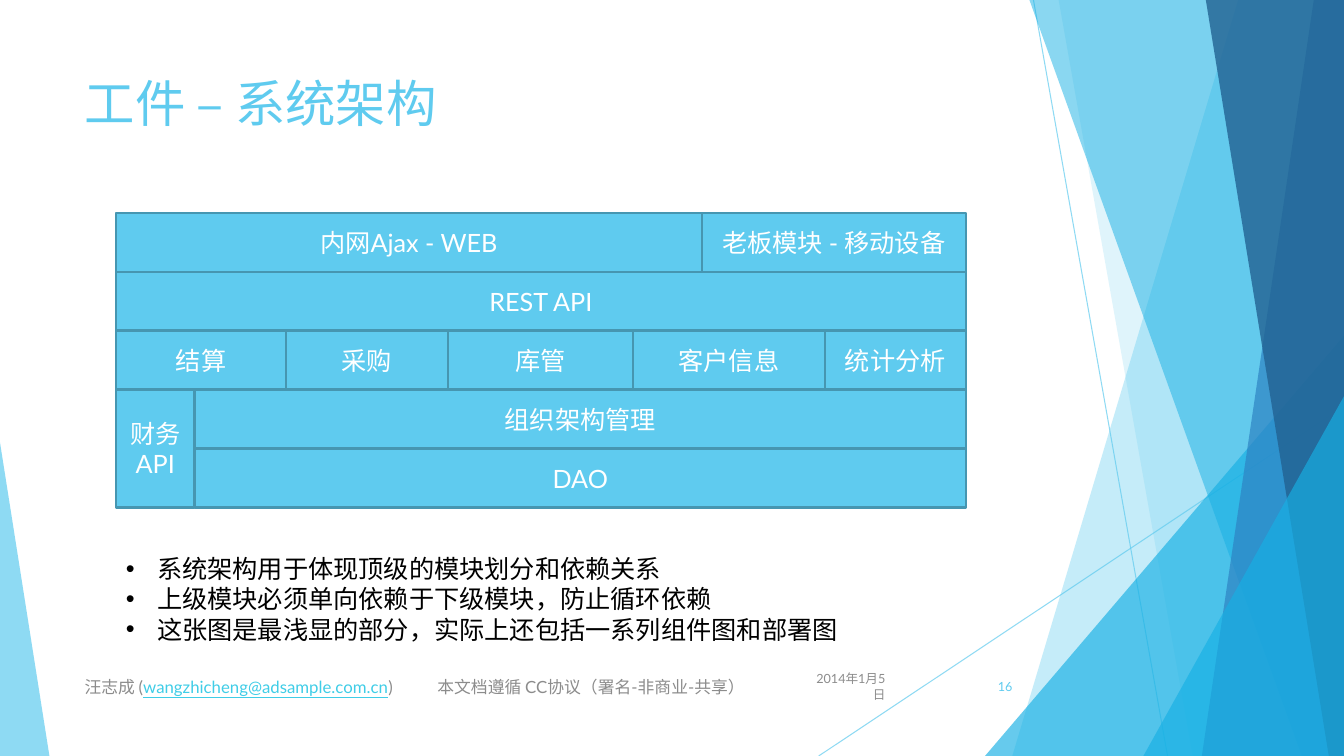
from lxml import etree
from pptx import Presentation
from pptx.dml.color import RGBColor
from pptx.enum.shapes import MSO_CONNECTOR as CONN, MSO_SHAPE as SHAPE
from pptx.enum.text import MSO_ANCHOR as ANCHOR, PP_ALIGN as ALIGN
from pptx.oxml.ns import qn
from pptx.util import Inches, Pt

W, H = 13.33, 7.5
LEFT, RIGHT = 1.15, 9.58
TOP, ROW = 2.11, 0.585
FOOT_TOP, FOOT_H = 6.61, 0.4
COLORS = {
    "sky": "5FCBEF", "cyan": "17B0E4", "blue": "2E83C3", "navy": "226292",
    "edge": "4696B1", "white": "FFFFFF", "black": "000000",
    "grey": "8C8C8C", "mail": "3FCDE7",
}


def paint(fill, color, alpha=100):
    fill.solid()
    fill.fore_color.rgb = RGBColor.from_string(COLORS[color])
    if alpha < 100:
        clr = fill._xPr.find(qn("a:solidFill"))[0]
        etree.SubElement(clr, qn("a:alpha")).set("val", str(alpha * 1000))


def write(p, text, size, color, **formats):
    r = p.add_run()
    r.text = text
    for name, value in {"name": "Lato", "size": Pt(size), **formats}.items():
        setattr(r.font, name, value)
    r.font.color.rgb = RGBColor.from_string(COLORS[color])


prs = Presentation()
prs.slide_width, prs.slide_height = Inches(W), Inches(H)
s = prs.slides.add_slide(prs.slide_layouts[5])

for x1, y1, x2, y2 in [(10.25, 0, 11.58, H), (W, 4.03, 8.12, H)]:
    line = s.shapes.add_connector(CONN.STRAIGHT, *map(Inches, (x1, y1, x2, y2)))
    line.line.width = Pt(0.75)
    paint(line.line.fill, "sky", 70)
    etree.SubElement(line._element.spPr, qn("a:effectLst"))

facets = [
    ("ribbon", 12.28, 10.04, "sky", 36),
    ("ribbon", 10.5, 11.83, "sky", 20),
    ("triangle", 9.77, 3.33, 3.56, 1, "cyan", 66),
    ("ribbon", 10.21, 12.91, "cyan", 50),
    ("ribbon", 13.03, 11.92, "blue", 70),
    ("ribbon", 11.96, 13.18, "navy", 80),
    ("triangle", 11.34, 3.93, 1.99, 1, "cyan", 66),
    ("triangle", 0, 4.39, 0.49, 0, "sky", 70),
]
for kind, *place, color, alpha in facets:
    if kind == "ribbon":
        x_top, x_bottom = map(Inches, place)
        fb = s.shapes.build_freeform(x_top, 0)
        fb.add_line_segments([(Inches(W), 0), (Inches(W), Inches(H)), (x_bottom, Inches(H))])
        sp = fb.convert_to_shape()
    else:
        x, y, width, apex = place
        sp = s.shapes.add_shape(SHAPE.ISOSCELES_TRIANGLE, *map(Inches, (x, y, width, H - y)))
        sp.adjustments[0] = apex
    sp.shadow.inherit = False
    sp.line.fill.background()
    paint(sp.fill, color, alpha)

title = s.shapes.title
title.left, title.top, title.width, title.height = map(Inches, (0.74, 0.67, 9.4, 1.44))
title.text_frame.vertical_anchor = ANCHOR.TOP
p = title.text_frame.paragraphs[0]
p.alignment = ALIGN.LEFT
write(p, "工件 – 系统架构", 36, "sky")

layers = [
    (0, 1, [LEFT, 6.96, RIGHT], ["内网Ajax - WEB", "老板模块 - 移动设备"]),
    (1, 1, [LEFT, RIGHT], ["REST API"]),
    (2, 1, [LEFT, 2.84, 4.44, 6.28, 8.18, RIGHT],
     ["结算", "采购", "库管", "客户信息", "统计分析"]),
    (3, 2, [LEFT, 1.93], ["财务API"]),
    (3, 1, [1.93, RIGHT], ["组织架构管理"]),
    (4, 1, [1.93, RIGHT], ["DAO"]),
]
for row, span, edges, labels in layers:
    for x1, x2, label in zip(edges, edges[1:], labels):
        sp = s.shapes.add_shape(
            SHAPE.RECTANGLE, *map(Inches, (x1, TOP + row * ROW, x2 - x1, span * ROW)))
        sp.shadow.inherit = False
        paint(sp.fill, "sky")
        paint(sp.line.fill, "edge")
        sp.line.width = Pt(1.5)
        tf = sp.text_frame
        tf.word_wrap, tf.vertical_anchor = True, ANCHOR.MIDDLE
        p = tf.paragraphs[0]
        p.alignment = ALIGN.CENTER
        write(p, label, 18, "white")

notes = [
    "系统架构用于体现顶级的模块划分和依赖关系",
    "上级模块必须单向依赖于下级模块，防止循环依赖",
    "这张图是最浅显的部分，实际上还包括一系列组件图和部署图",
]
tf = s.shapes.add_textbox(*map(Inches, (LEFT, 5.44, 7.33, 1.01))).text_frame
tf.word_wrap = False
for i, note in enumerate(notes):
    p = tf.add_paragraph() if i else tf.paragraphs[0]
    write(p, note, 18, "black")
    pPr = p._p.get_or_add_pPr()
    pPr.set("marL", str(Inches(0.31)))
    pPr.set("indent", str(-Inches(0.31)))
    etree.SubElement(pPr, qn("a:buFont")).set("typeface", "Arial")
    etree.SubElement(pPr, qn("a:buChar")).set("char", "•")

footers = [
    (7.88, 1, ALIGN.RIGHT, 9, [("2014年1月5日", "grey", False)]),
    (9.39, 0.75, ALIGN.RIGHT, 9, [("16", "sky", False)]),
    (0.74, 6.89, ALIGN.LEFT, 12, [
        ("汪志成 (", "grey", False),
        ("wangzhicheng@adsample.com.cn", "mail", True),
        (")\t本文档遵循 CC协议（署名-非商业-共享）", "grey", False),
    ]),
]
for x, width, align, size, runs in footers:
    tf = s.shapes.add_textbox(*map(Inches, (x, FOOT_TOP, width, FOOT_H))).text_frame
    tf.word_wrap, tf.vertical_anchor = True, ANCHOR.MIDDLE
    p = tf.paragraphs[0]
    p.alignment = align
    for text, color, underline in runs:
        write(p, text, size, color, underline=underline)
tabs = etree.SubElement(p._p.get_or_add_pPr(), qn("a:tabLst"))
tab = etree.SubElement(tabs, qn("a:tab"))
tab.set("pos", str(Inches(3.5)))
tab.set("algn", "l")

prs.save("out.pptx")
